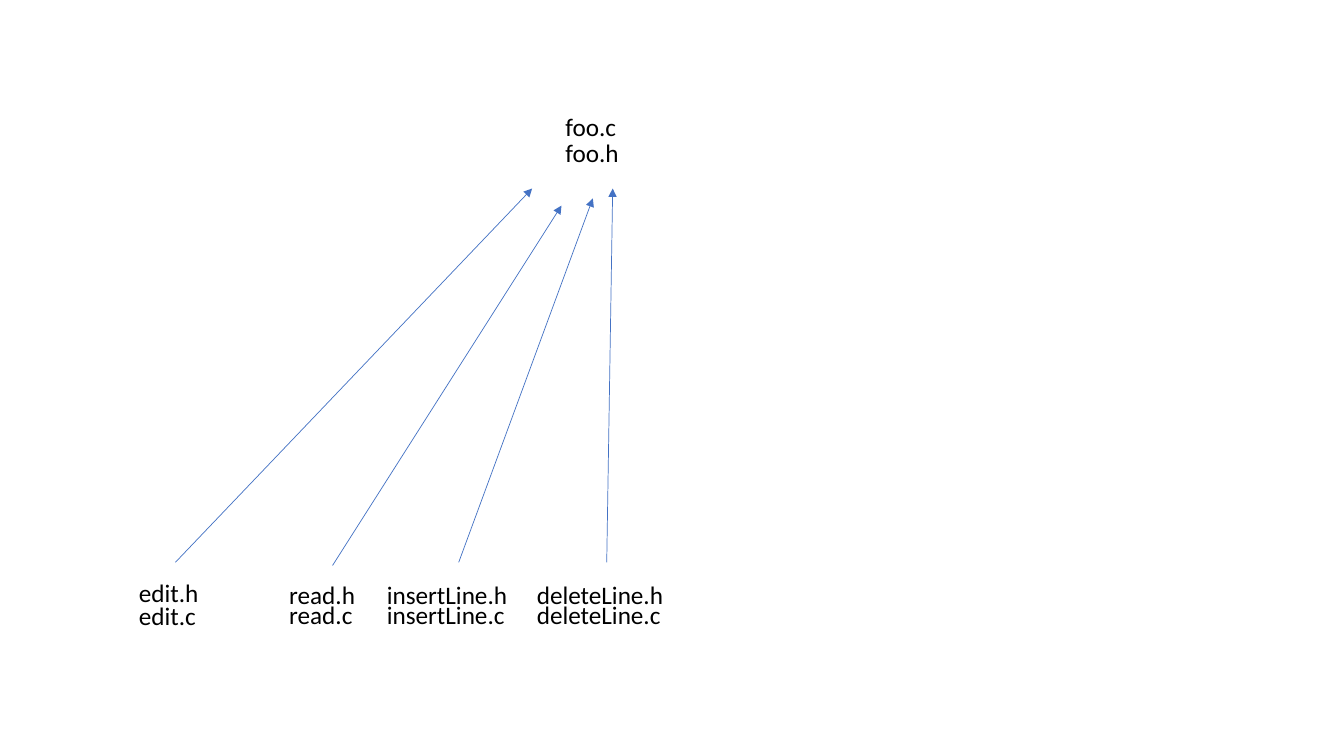
from lxml import etree
from pptx import Presentation
from pptx.dml.color import RGBColor
from pptx.enum.shapes import MSO_CONNECTOR as Connector
from pptx.enum.text import MSO_AUTO_SIZE as AutoSize
from pptx.oxml.ns import qn
from pptx.util import Cm, Pt

COLORS = {"text": "000000", "arrow": "4472C4"}
LABEL_HEIGHT = 1.02

MODULES = [
    ("foo.c", "foo.h", 14, 2.69, 3.33, 3.63),
    ("edit.h", "edit.c", 3.25, 14.43, 15.01, 3.63),
    ("read.h", "read.c", 7.04, 14.48, 14.99, 3.63),
    ("insertLine.h", "insertLine.c", 9.5, 14.48, 14.99, 3.63),
    ("deleteLine.h", "deleteLine.c", 13.28, 14.48, 14.99, 4.04),
]

DEPENDENCIES = [
    ((4.42, 14.17), (13.41, 4.75)),
    ((8.38, 14.25), (14.15, 5.18)),
    ((11.56, 14.17), (14.94, 5)),
    ((15.29, 14.17), (15.44, 4.75)),
]


def write_text(text_frame, text, size=18, font="Calibri", color="text"):
    run = text_frame.paragraphs[0].add_run()
    run.text = text
    run.font.size = Pt(size)
    run.font.name = font
    run.font.color.rgb = RGBColor.from_string(COLORS[color])


def add_label(slide, text, left, top, width):
    shape = slide.shapes.add_textbox(Cm(left), Cm(top), Cm(width), Cm(LABEL_HEIGHT))
    shape.text_frame.word_wrap = True
    shape.text_frame.auto_size = AutoSize.SHAPE_TO_FIT_TEXT
    write_text(shape.text_frame, text)


def add_module(slide, first, second, left, first_top, second_top, width):
    add_label(slide, first, left, first_top, width)
    add_label(slide, second, left, second_top, width)


def add_arrow(slide, start, end):
    points = [Cm(length) for length in (*start, *end)]
    connector = slide.shapes.add_connector(Connector.STRAIGHT, *points)
    connector.line.color.rgb = RGBColor.from_string(COLORS["arrow"])
    connector.line.width = Pt(0.5)
    properties = connector.line._get_or_add_ln()
    etree.SubElement(properties, qn("a:tailEnd"), type="triangle")
    etree.SubElement(connector._element.spPr, qn("a:effectLst"))


def main():
    presentation = Presentation()
    presentation.slide_width = Cm(33.87)
    presentation.slide_height = Cm(19.05)
    blank_layout = presentation.slide_layouts[6]
    slide = presentation.slides.add_slide(blank_layout)
    for module in MODULES:
        add_module(slide, *module)
    for start, end in DEPENDENCIES:
        add_arrow(slide, start, end)
    presentation.save("out.pptx")


if __name__ == "__main__":
    main()
